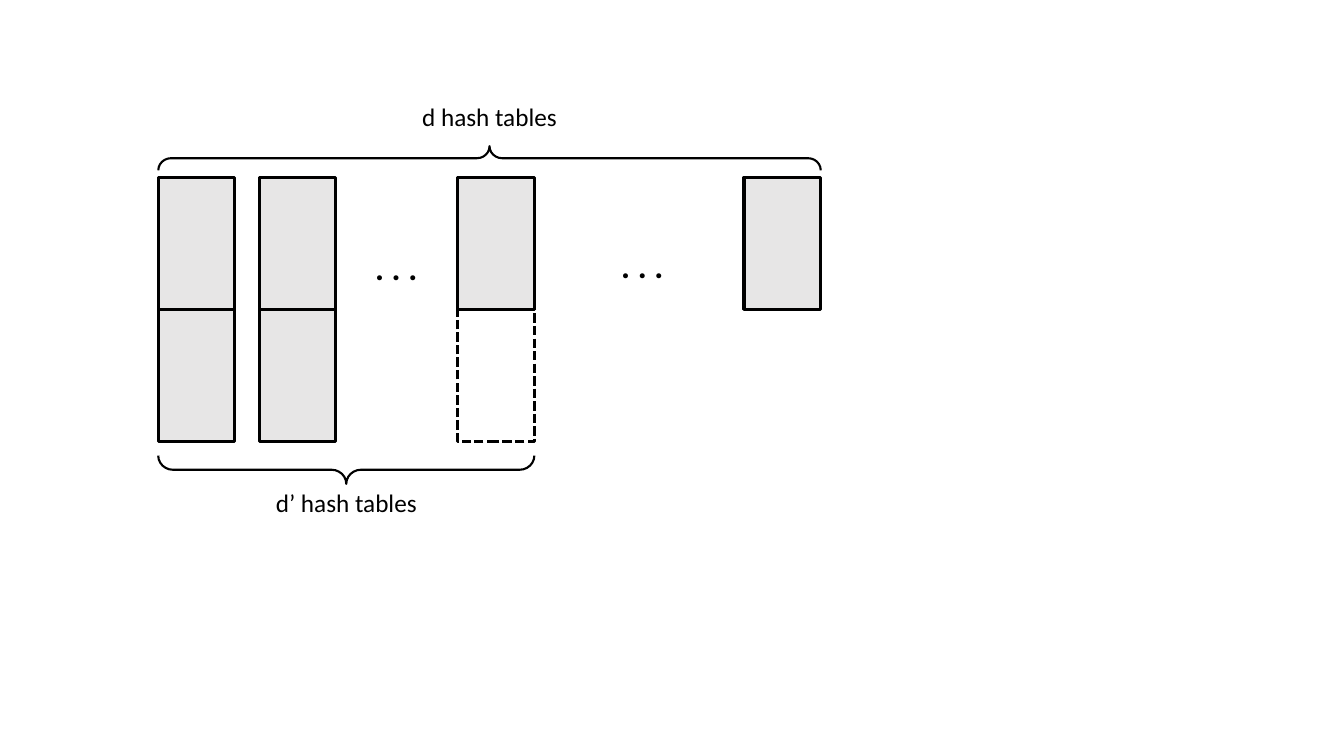
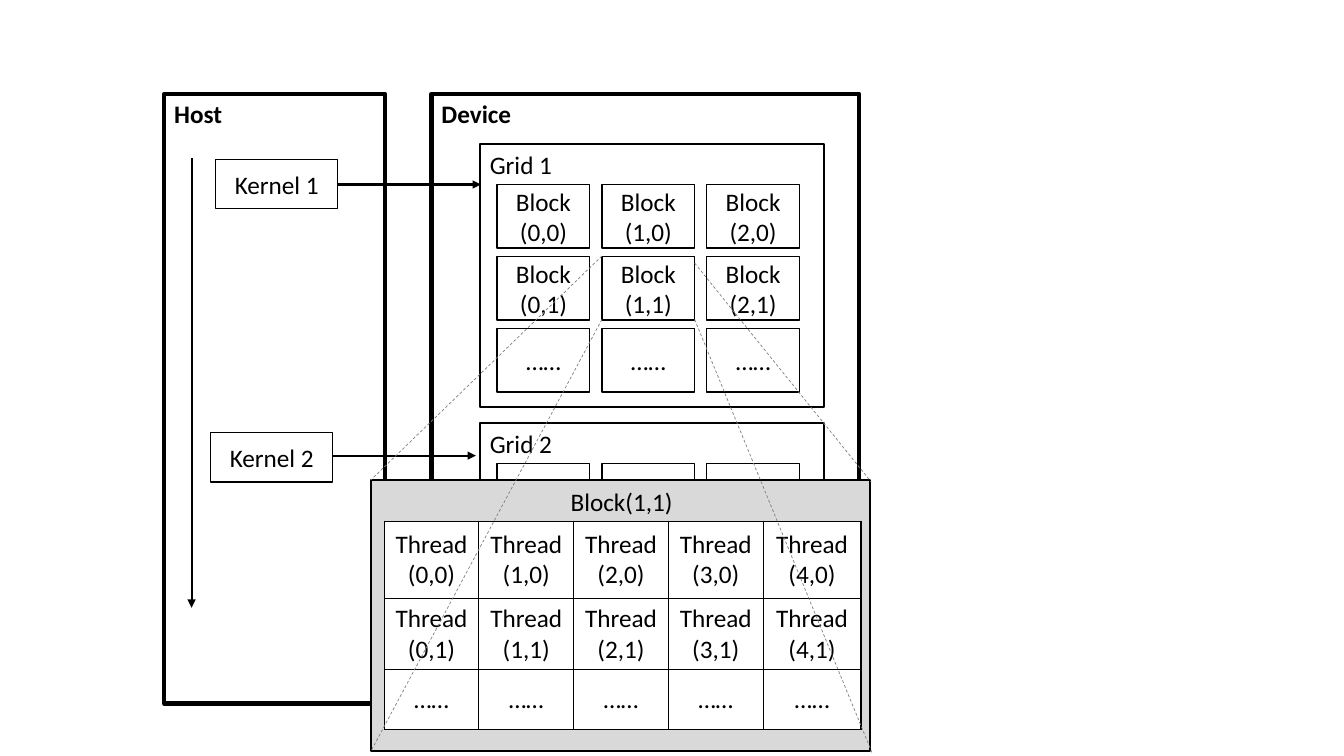
from lxml import etree
from pptx import Presentation
from pptx.dml.color import RGBColor
from pptx.enum.dml import MSO_LINE
from pptx.enum.shapes import MSO_CONNECTOR, MSO_SHAPE
from pptx.enum.text import MSO_ANCHOR, PP_ALIGN
from pptx.oxml.ns import qn
from pptx.util import Inches, Pt

BLACK = RGBColor(0x00, 0x00, 0x00)
WHITE = RGBColor(0xFF, 0xFF, 0xFF)
GREY = RGBColor(0x80, 0x80, 0x80)
TABLE_GREY = RGBColor(0xE7, 0xE6, 0xE6)
PANEL_GREY = RGBColor(0xD9, 0xD9, 0xD9)

RECTANGLE, BRACE = MSO_SHAPE.RECTANGLE, MSO_SHAPE.LEFT_BRACE
STRAIGHT = MSO_CONNECTOR.STRAIGHT
DASH, SHORT_DASH = MSO_LINE.DASH, MSO_LINE.SQUARE_DOT
LEFT, CENTER = PP_ALIGN.LEFT, PP_ALIGN.CENTER
MIDDLE = MSO_ANCHOR.MIDDLE

GRID_ROWS = 75
BLANK_LAYOUT = 6
ELLIPSIS = "……"


class Canvas:
    """Draws on the current slide; lengths are in cells of a square grid, 75 rows high."""

    font_name = "Calibri"
    font_size = 18

    def __init__(self):
        self.presentation = Presentation()
        self.presentation.slide_width = Inches(13.33)
        self.presentation.slide_height = Inches(7.5)
        self.cell = self.presentation.slide_height / GRID_ROWS
        self.shapes = None

    def new_slide(self):
        layout = self.presentation.slide_layouts[BLANK_LAYOUT]
        self.shapes = self.presentation.slides.add_slide(layout).shapes

    def lengths(self, *cells):
        return [round(count * self.cell) for count in cells]

    def set_text(self, frame, text, align=CENTER, size=font_size, bold=False):
        frame.text = text
        frame.word_wrap = True
        for paragraph in frame.paragraphs:
            paragraph.alignment = align
            paragraph.font.name = self.font_name
            paragraph.font.size = Pt(size)
            paragraph.font.bold = bold
            paragraph.font.color.rgb = BLACK

    def outline(self, line, color, width, dash=None):
        line.color.rgb = color
        line.width = Pt(width)
        if dash:
            line.dash_style = dash

    def shape(self, kind, box, fill, width, dash=None):
        shape = self.shapes.add_shape(kind, *self.lengths(*box))
        shape.shadow.inherit = False
        if fill is None:
            shape.fill.background()
        else:
            shape.fill.solid()
            shape.fill.fore_color.rgb = fill
        self.outline(shape.line, BLACK, width, dash)
        return shape

    def box(self, *box, text="", fill=WHITE, width=1, dash=None):
        shape = self.shape(RECTANGLE, box, fill, width, dash)
        if text:
            shape.text_frame.vertical_anchor = MIDDLE
            self.set_text(shape.text_frame, text)

    def label(self, *box, text, **style):
        text_box = self.shapes.add_textbox(*self.lengths(*box))
        self.set_text(text_box.text_frame, text, **style)

    def brace(self, left, top, width, height, rotation):
        """Lay a brace flat so that it covers the given area once turned."""
        shift = (width - height) / 2
        upright = (left + shift, top - shift, height, width)
        shape = self.shape(BRACE, upright, None, 1.5)
        shape.rotation = rotation
        shape.adjustments[0] = 0.52
        shape.adjustments[1] = 0.5

    def line(self, *ends, color=BLACK, width=1.5, dash=None, arrow=False):
        connector = self.shapes.add_connector(STRAIGHT, *self.lengths(*ends))
        self.outline(connector.line, color, width, dash)
        properties = connector._element.spPr
        if arrow:
            outline = properties.find(qn("a:ln"))
            etree.SubElement(outline, qn("a:tailEnd"), type="triangle")
        etree.SubElement(properties, qn("a:effectLst"))

    def table(self, left, top, columns, rows, texts):
        area = self.lengths(left, top, sum(columns), sum(rows))
        table = self.shapes.add_table(len(rows), len(columns), *area).table
        table.first_row = table.horz_banding = False
        for column, width in zip(table.columns, self.lengths(*columns)):
            column.width = width
        for row, height, row_texts in zip(table.rows, self.lengths(*rows), texts):
            row.height = height
            for cell, text in zip(row.cells, row_texts):
                cell.vertical_anchor = MIDDLE
                cell.fill.solid()
                cell.fill.fore_color.rgb = WHITE
                self.set_text(cell.text_frame, text)
                self.cell_borders(cell)

    def cell_borders(self, cell):
        properties = cell._tc.get_or_add_tcPr()
        for position, side in enumerate(("lnL", "lnR", "lnT", "lnB")):
            border = etree.Element(qn(f"a:{side}"), w=str(int(Pt(1))))
            fill = etree.SubElement(border, qn("a:solidFill"))
            etree.SubElement(fill, qn("a:srgbClr"), val=str(BLACK))
            properties.insert(position, border)


def numbered(word, columns, rows):
    """Rows of labels such as Block (1,0), closed by a row of ellipses."""
    labels = [[f"{word}\n({column},{row})" for column in range(columns)]
              for row in range(rows)]
    return labels + [[ELLIPSIS] * columns]


def draw_hash_tables(canvas):
    canvas.new_slide()
    width, height, top = 7.6, 13.1, 17.6
    lower_top = top + height
    first, second, partial, last = 15.7, 25.7, 45.4, 73.8
    for left in (first, second, partial, last):
        canvas.box(left, top, width, height, fill=TABLE_GREY, width=2.25)
    for left in (first, second):
        canvas.box(left, lower_top, width, height, fill=TABLE_GREY, width=2.25)
    canvas.box(partial, lower_top, width, height, fill=None, width=2.25, dash=SHORT_DASH)

    canvas.brace(first, 14.5, last + width - first, 2.4, rotation=90)
    canvas.brace(first, 45.2, partial + width - first, 2.8, rotation=270)
    canvas.label(34.3, 9.6, 28.5, 4, text="d hash tables")
    canvas.label(26.1, 47.9, 16.5, 4, text="d’ hash tables")
    for left, dots_top in ((34.3, 24), (58.7, 23.8)):
        canvas.label(left, dots_top, 10, 5, text=". . .", size=24, bold=True)


def draw_grid(canvas, top, title, block_texts):
    left = 47.6
    canvas.box(left, top, 34.1, 26.1, width=1.5)
    canvas.label(left, top, 32.2, 4, text=title, align=LEFT)
    for row, texts in enumerate(block_texts):
        for column, text in enumerate(texts):
            canvas.box(left + 1.7 + 10.4 * column, top + 4 + 7.15 * row,
                       9.2, 6.3, text=text)


def draw_thread_hierarchy(canvas):
    canvas.new_slide()
    for left, width, title in ((42.8, 42.4, "Device"), (16.3, 21.9, "Host")):
        canvas.box(left, 9.3, width, 60.5, width=3)
        canvas.label(left, 9.3, 15.6, 4, text=title, align=LEFT, bold=True)
    canvas.line(19, 15.7, 19, 60.3, arrow=True)

    draw_grid(canvas, 14.3, "Grid 1", numbered("Block", 3, 2))
    draw_grid(canvas, 42, "Grid 2", [[""] * 3])

    kernels = (("Kernel 1", 21.4, 15.8, 18.3), ("Kernel 2", 20.9, 42.9, 45.2))
    for text, left, top, arrow_top in kernels:
        canvas.box(left, top, 12.1, 4.9, text=text)
        start = left + 12
        canvas.line(start, arrow_top, start + 14.3, arrow_top, arrow=True)

    canvas.box(36.8, 47.6, 49.5, 26.9, fill=PANEL_GREY, width=1.5)
    canvas.label(37.4, 47.8, 48.5, 4.3, text="Block(1,1)")
    canvas.table(38.1, 51.7, [9.4] * 4 + [9.7], [7.7, 7, 6], numbered("Thread", 5, 2))

    zoom_lines = ((59.7, 25.4, 36.8, 47.6), (59.7, 31.7, 36.8, 74.5),
                  (68.9, 31.7, 86.5, 74.7), (68.9, 26.1, 86.4, 47.8))
    for ends in zoom_lines:
        canvas.line(*ends, color=GREY, width=0.5, dash=DASH)


def main():
    canvas = Canvas()
    draw_hash_tables(canvas)
    draw_thread_hierarchy(canvas)
    canvas.presentation.save("out.pptx")


if __name__ == "__main__":
    main()
